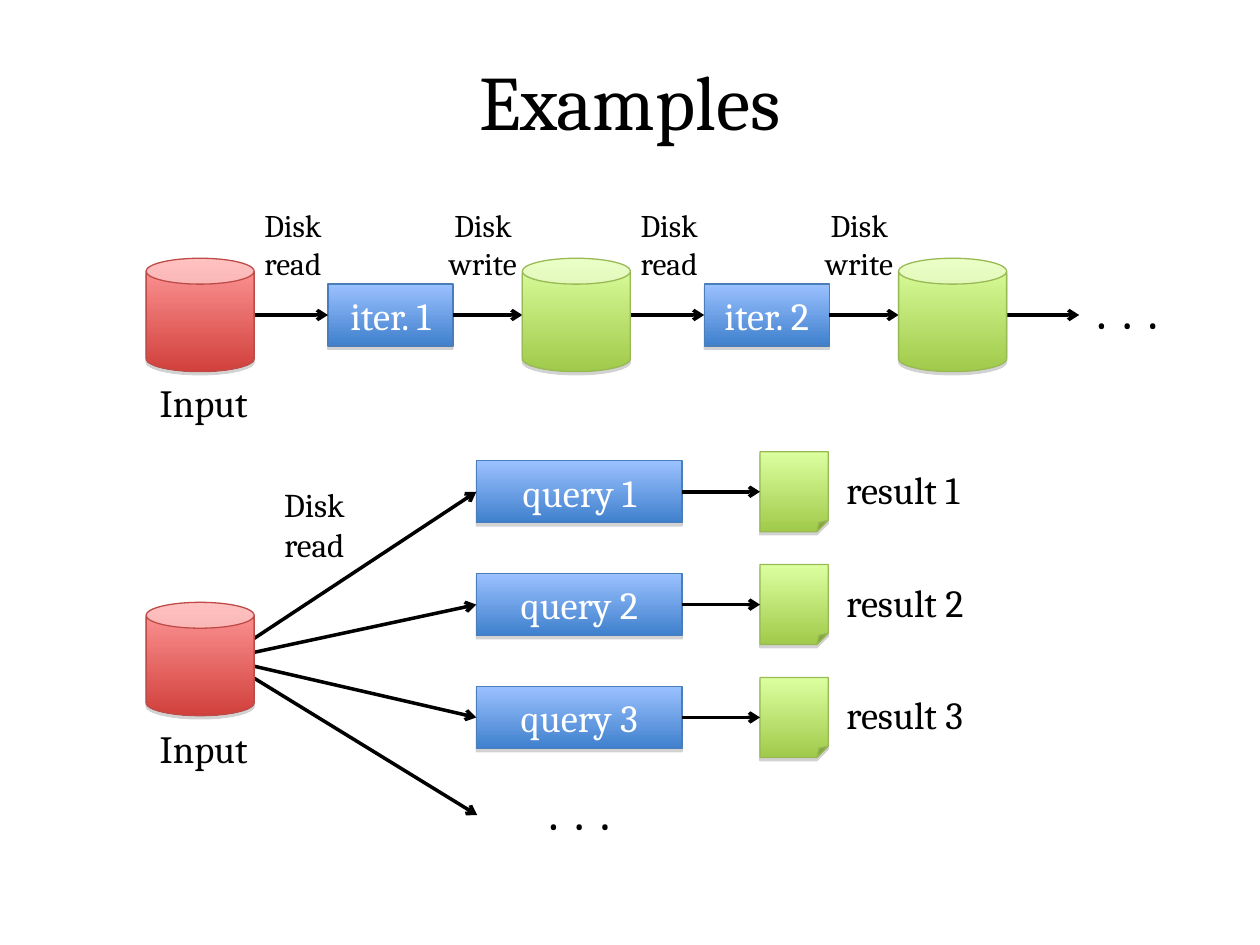
"""Build the slide of data flows between stores, steps and results."""
from dataclasses import dataclass
from typing import Optional

from lxml import etree
from pptx import Presentation
from pptx.dml.color import RGBColor
from pptx.enum.shapes import MSO_CONNECTOR, MSO_SHAPE
from pptx.enum.text import MSO_ANCHOR, MSO_AUTO_SIZE, PP_ALIGN
from pptx.oxml.ns import qn
from pptx.shapes.autoshape import Shape
from pptx.shapes.connector import Connector
from pptx.shapes.shapetree import SlideShapes
from pptx.text.text import TextFrame
from pptx.util import Pt

CAN, RECT, SHEET = MSO_SHAPE.CAN, MSO_SHAPE.RECTANGLE, MSO_SHAPE.FOLDED_CORNER
LEFT, CENTER = PP_ALIGN.LEFT, PP_ALIGN.CENTER
MIDDLE, TOP = MSO_ANCHOR.MIDDLE, MSO_ANCHOR.TOP
GROW, STRAIGHT = MSO_AUTO_SIZE.SHAPE_TO_FIT_TEXT, MSO_CONNECTOR.STRAIGHT
LEFT_SIDE, RIGHT_SIDE = 1, 3
FONT = "Cambria"
STORE = "Disk"
DOTS = ".  .  ."
COLORS = {
    "red top": "FF9A99", "red end": "D1403C", "red edge": "BE4B48",
    "blue top": "9BC1FF", "blue end": "3F80CD", "blue edge": "4A7EBB",
    "green top": "DCFFA0", "green end": "A0CA4A", "green edge": "98B954",
    "black": "000000", "white": "FFFFFF", "shade": "808080",
}
STEP, CAN_X, CAN_W, CAN_H = 215, 83.5, 61.7, 64.8
FLOW_Y, BOX_H = 180, 35.5
ROW_Y, ROW_STEP = 281, 64.5
HUB_X, HUB_Y = 127.4, 376.6


@dataclass
class Block:
    kind: MSO_SHAPE
    tone: str
    left: float
    mid: float
    width: float
    height: float
    text: str = ""


@dataclass
class Label:
    text: str
    left: float
    top: float
    width: float
    height: float
    size: float = 22
    align: PP_ALIGN = CENTER
    bold: bool = False
    wrap: bool = False
    grow: bool = True


def color(name: str) -> RGBColor:
    """Return the named colour."""
    return RGBColor.from_string(COLORS[name])


def write(frame: TextFrame, text: str, size: float, tint: str,
          align: PP_ALIGN, bold: bool = False) -> None:
    """Fill a frame with one paragraph, a run for each line."""
    para = frame.paragraphs[0]
    para.alignment = align
    for order, line in enumerate(text.split("\n")):
        if order:
            para.add_line_break()
        run = para.add_run()
        run.text = line
        run.font.name, run.font.size, run.font.bold = FONT, Pt(size), bold
        run.font.color.rgb = color(tint)


def shade(shape: Shape) -> None:
    """Give a shape a thin grey shadow just below it."""
    shape.shadow.inherit = False
    effects = shape._element.spPr.find(qn("a:effectLst"))
    outer = etree.SubElement(effects, qn("a:outerShdw"), blurRad="0",
                             dist=str(Pt(1.8)), dir="5400000", rotWithShape="0")
    tint = etree.SubElement(outer, qn("a:srgbClr"), val=COLORS["shade"])
    etree.SubElement(tint, qn("a:alpha"), val="35000")


def draw_block(shapes: SlideShapes, block: Block) -> Shape:
    """Draw a shaded block centred on its middle height."""
    shape = shapes.add_shape(block.kind, Pt(block.left), Pt(block.mid - block.height / 2),
                             Pt(block.width), Pt(block.height))
    if block.kind == CAN:
        shape.adjustments[0] = 0.24
    shape.fill.gradient()
    shape.fill.gradient_angle = 270
    for stop, part in zip(shape.fill.gradient_stops, ("top", "end")):
        stop.color.rgb = color(f"{block.tone} {part}")
    shape.line.color.rgb = color(f"{block.tone} edge")
    shape.line.width = Pt(0.75)
    shade(shape)
    if block.text:
        frame = shape.text_frame
        frame.margin_left = frame.margin_right = Pt(0)
        frame.vertical_anchor = MIDDLE
        write(frame, block.text, 22, "white", CENTER)
    return shape


def draw_label(shapes: SlideShapes, label: Label) -> None:
    """Draw a plain text label."""
    box = shapes.add_textbox(Pt(label.left), Pt(label.top), Pt(label.width), Pt(label.height))
    frame = box.text_frame
    frame.word_wrap = label.wrap
    if label.grow:
        frame.auto_size = GROW
    frame.vertical_anchor = TOP if label.grow else MIDDLE
    write(frame, label.text, label.size, "black", label.align, label.bold)


def draw_arrow(shapes: SlideShapes, start: tuple[float, float], end: tuple[float, float],
               source: Optional[Shape] = None, target: Optional[Shape] = None) -> Connector:
    """Draw an arrow, joined to the blocks given."""
    arrow = shapes.add_connector(STRAIGHT, *map(Pt, start + end))
    if source is not None:
        arrow.begin_connect(source, RIGHT_SIDE)
    if target is not None:
        arrow.end_connect(target, LEFT_SIDE)
    arrow.line.color.rgb = color("black")
    arrow.line.width = Pt(2)
    etree.SubElement(arrow.line._get_or_add_ln(), qn("a:tailEnd"), type="arrow")
    etree.SubElement(arrow._element.spPr, qn("a:effectLst"))
    return arrow


def draw_flow(shapes: SlideShapes) -> None:
    """Draw the upper chain of stores and steps."""
    for turn in range(2):
        shift = turn * STEP
        edge, box_x, next_x = (x + shift for x in (CAN_X + CAN_W, 187.4, CAN_X + STEP))
        box = draw_block(shapes, Block(RECT, "blue", box_x, FLOW_Y, 71.5, BOX_H,
                                       f"iter. {turn + 1}"))
        draw_arrow(shapes, (edge, FLOW_Y), (box_x, FLOW_Y), target=box)
        draw_arrow(shapes, (box_x, FLOW_Y), (next_x, FLOW_Y), source=box)
        for verb, left in (("read", 136.1), ("write", 244.7)):
            draw_label(shapes, Label(f"{STORE}\n{verb}", left + shift, 114.2, 62.6, 50.4, 18))
    last = CAN_X + 2 * STEP + CAN_W
    draw_arrow(shapes, (last, FLOW_Y), (last + 41.5, FLOW_Y))
    for place, tone in enumerate(("red", "green", "green")):
        draw_block(shapes, Block(CAN, tone, CAN_X + place * STEP, FLOW_Y, CAN_W, CAN_H))
    draw_label(shapes, Label(DOTS, 615.6, 162.7, 57, 33.8, bold=True, wrap=True))
    draw_label(shapes, Label("Input", 84.2, 213.1, 67.7, 33.8, align=LEFT))


def draw_fan(shapes: SlideShapes) -> None:
    """Draw the lower fan of queries and results."""
    hub = (HUB_X, HUB_Y)
    for row in range(3):
        mid = ROW_Y + row * ROW_STEP
        query = draw_block(shapes, Block(RECT, "blue", 272.2, mid, 117.6, BOX_H,
                                         f"query {row + 1}"))
        sheet = draw_block(shapes, Block(SHEET, "green", 434.3, mid, 39, 45.7))
        draw_arrow(shapes, hub, (272.2, mid), target=query)
        draw_arrow(shapes, (389.8, mid), (434.3, mid), query, sheet)
        draw_label(shapes, Label(f"result {row + 1}", 476.6, mid - 18.4, 85.7, 33.8, align=LEFT))
    draw_arrow(shapes, hub, (272.7, 465.8))
    draw_block(shapes, Block(CAN, "red", CAN_X, HUB_Y, CAN_W, CAN_H))
    draw_label(shapes, Label(DOTS, 272.2, 449.3, 117.6, 33.8, bold=True, wrap=True))
    draw_label(shapes, Label("Input", 84.2, 410.7, 67.7, 33.8, align=LEFT))
    draw_label(shapes, Label(f"{STORE}\nread", 146.9, 273.3, 65.5, 53.3, 19))


def main() -> None:
    """Build and save the slide."""
    deck = Presentation()
    deck.slide_width, deck.slide_height = Pt(720), Pt(540)
    shapes = deck.slides.add_slide(deck.slide_layouts[6]).shapes
    draw_label(shapes, Label("Examples", 36, 12.2, 648, 90, 44, wrap=True, grow=False))
    draw_flow(shapes)
    draw_fan(shapes)
    deck.save("out.pptx")


if __name__ == "__main__":
    main()
